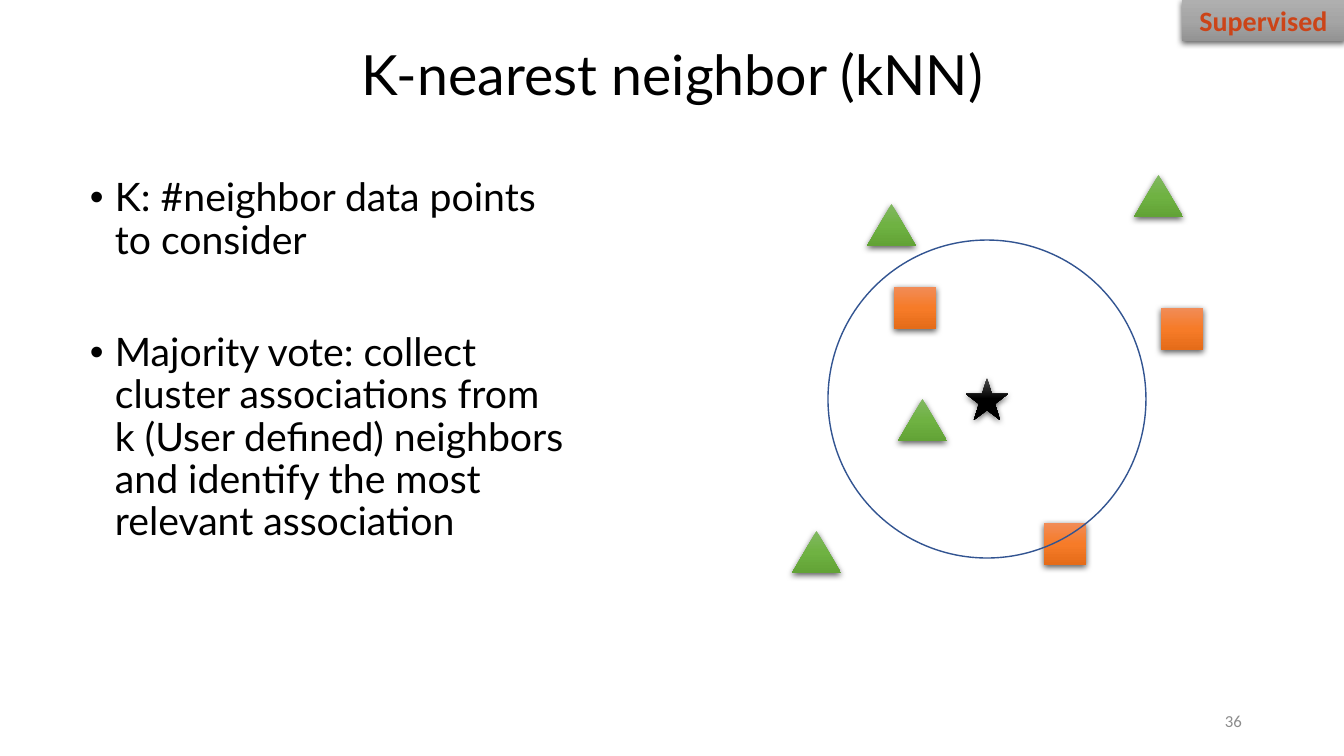
from copy import deepcopy

from lxml import etree
from pptx import Presentation
from pptx.dml.color import RGBColor
from pptx.enum.shapes import MSO_SHAPE as Shape
from pptx.enum.text import MSO_ANCHOR as Anchor, PP_ALIGN as Align
from pptx.oxml import parse_xml
from pptx.oxml.ns import nsdecls, qn
from pptx.util import Emu, Pt

SLIDE = (1344, 756)
TITLE = "K-nearest neighbor (kNN)"
POINTS = [
    "K: #neighbor data points to consider",
    "Majority vote: collect cluster associations from k (User defined) "
    "neighbors and identify the most relevant association",
]
TAG = "Supervised"
PAGE = "36"

# Kind of data point: preset shape, width, height
KINDS = {
    "query": (Shape.STAR_5_POINT, 42, 42),
    "square": (Shape.RECTANGLE, 42, 42),
    "triangle": (Shape.ISOSCELES_TRIANGLE, 49, 42),
}
# Left and top of each data point
DATA = [
    ("query", 966, 378),
    ("square", 894, 287),
    ("triangle", 898, 399),
    ("square", 1161, 308),
    ("triangle", 867, 204),
    ("triangle", 1134, 175),
    ("square", 1044, 523),
    ("triangle", 792, 531),
]
CENTRE, RADIUS = (987, 399), 159

THEME = {
    "gradients": {
        "query": ("4B4B4B", "000000", "000000"),
        "square": ("F18C57", "F67B28", "E56C19"),
        "triangle": ("81B861", "6FB242", "62A336"),
        "tag": ("AFAFAF", "A5A5A5", "939393"),
    },
    "circle": "325491",
    "title": {"name": "Lato", "size": 39.6, "color": "000000"},
    "body": {"name": "Lato", "size": 28, "color": "000000"},
    "tag": {"name": "Calibri", "size": 20, "color": "CC4418", "bold": True},
    "page": {"name": "Calibri", "size": 12, "color": "8C8C8C"},
}
SHADOW = (
    f'<a:outerShdw {nsdecls("a")} blurRad="57150" dist="19050" dir="5400000" '
    'algn="ctr" rotWithShape="0"><a:srgbClr val="000000">'
    '<a:alpha val="63000"/></a:srgbClr></a:outerShdw>'
)


def px(length):
    return Emu(round(length * 914400 / 100.8))


def set_all(target, values):
    for name, value in values.items():
        setattr(target, name, value)


def style_font(font, style):
    for name, value in style.items():
        if name == "color":
            font.color.rgb = RGBColor.from_string(value)
        else:
            setattr(font, name, Pt(value) if name == "size" else value)


def write(frame, lines, style, anchor, **layout):
    """Fill a text frame, one paragraph a line, all with the same layout."""
    set_all(frame, {"word_wrap": True, "vertical_anchor": anchor,
                    "margin_left": 0, "margin_right": 0,
                    "margin_top": 0, "margin_bottom": 0})
    for index, line in enumerate(lines):
        paragraph = frame.paragraphs[0] if index == 0 else frame.add_paragraph()
        set_all(paragraph, layout)
        run = paragraph.add_run()
        run.text = line
        style_font(run.font, THEME[style])


def add_text(slide, box, *args, **layout):
    frame = slide.shapes.add_textbox(*map(px, box)).text_frame
    write(frame, *args, **layout)
    return frame


def add_raised(slide, kind, preset, *box):
    """Add a shape with a three-stop vertical gradient and a soft shadow."""
    shape = slide.shapes.add_shape(preset, *map(px, box))
    shape.line.fill.background()
    shape.fill.gradient()
    shape.fill.gradient_angle = 270
    properties = shape.element.spPr
    stops = properties.find(".//" + qn("a:gsLst"))
    stops.append(deepcopy(stops[-1]))
    colors = THEME["gradients"][kind]
    for stop, place, color in zip(shape.fill.gradient_stops, (0, 0.5, 1), colors):
        stop.position = place
        stop.color.rgb = RGBColor.from_string(color)
    shape.shadow.inherit = False
    properties.find(qn("a:effectLst")).append(parse_xml(SHADOW))
    return shape


def add_points(slide):
    frame = add_text(slide, (90, 178, 479, 540), POINTS, "body", Anchor.TOP,
                     line_spacing=0.9)
    for paragraph in frame.paragraphs:
        properties = paragraph._p.get_or_add_pPr()
        properties.set("marL", str(px(25)))
        properties.set("indent", str(px(-25)))
        etree.SubElement(properties, qn("a:buFont")).set("typeface", "Arial")
        etree.SubElement(properties, qn("a:buChar")).set("char", "•")
    for paragraph in frame.paragraphs[1:]:
        paragraph.space_before = Pt(50)


def add_circle(slide):
    corner = [middle - RADIUS for middle in CENTRE]
    circle = slide.shapes.add_shape(
        Shape.OVAL, *map(px, (*corner, 2 * RADIUS, 2 * RADIUS)))
    circle.shadow.inherit = False
    circle.fill.background()
    circle.line.width = Pt(1)
    circle.line.color.rgb = RGBColor.from_string(THEME["circle"])


def main():
    deck = Presentation()
    deck.slide_width, deck.slide_height = map(px, SLIDE)
    slide = deck.slides.add_slide(deck.slide_layouts[6])

    add_text(slide, (93, 40, 1159, 74), [TITLE], "title", Anchor.MIDDLE,
             alignment=Align.CENTER, line_spacing=0.9)
    add_points(slide)
    for kind, left, top in DATA:
        preset, width, height = KINDS[kind]
        add_raised(slide, kind, preset, left, top, width, height)
    add_circle(slide)
    tag = add_raised(slide, "tag", Shape.RECTANGLE, 1182, 0, 163, 41)
    write(tag.text_frame, [TAG], "tag", Anchor.MIDDLE, alignment=Align.CENTER)
    add_text(slide, (950, 701, 292, 40), [PAGE], "page", Anchor.MIDDLE,
             alignment=Align.RIGHT)
    deck.save("out.pptx")


if __name__ == "__main__":
    main()
